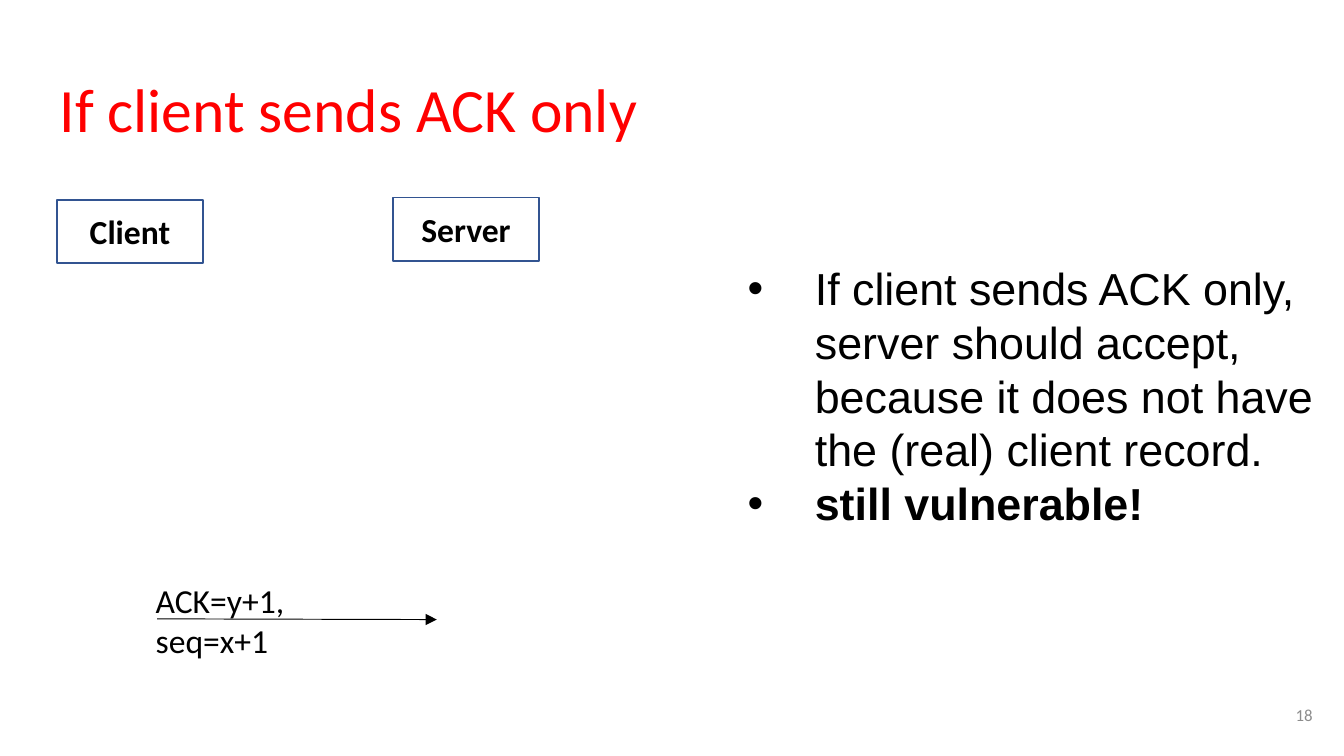
import pptx
import pptx.util
import pptx.dml.color
import pptx.enum.shapes
import pptx.enum.text
import pptx.oxml.ns
import lxml.etree

EMU_PER_PX = 4572  # 200 px to the inch
RED = pptx.dml.color.RGBColor(0xFF, 0x00, 0x00)
BLACK = pptx.dml.color.RGBColor(0x00, 0x00, 0x00)
WHITE = pptx.dml.color.RGBColor(0xFF, 0xFF, 0xFF)
GRAY = pptx.dml.color.RGBColor(0x8C, 0x8C, 0x8C)
BLUE = pptx.dml.color.RGBColor(0x32, 0x54, 0x91)
ALIGN = pptx.enum.text.PP_ALIGN
ANCHOR = pptx.enum.text.MSO_ANCHOR
qn = pptx.oxml.ns.qn


def px(*lengths):
    return [pptx.util.Emu(length * EMU_PER_PX) for length in lengths]


def write(paragraph, text, size, color, name="Calibri", bold=False, **layout):
    run = paragraph.add_run()
    run.text = text
    run.font.color.rgb = color
    for key, value in {"name": name, "size": pptx.util.Pt(size), "bold": bold}.items():
        setattr(run.font, key, value)
    for key, value in layout.items():
        setattr(paragraph, key, value)


presentation = pptx.Presentation()
presentation.slide_width, presentation.slide_height = px(2000, 1125)
slide = presentation.slides.add_slide(presentation.slide_layouts[6])

# Text boxes: title, page number, packet label, bullet list
frames = {}
for part, box, margin, anchor in [
    ("title", (69, 98, 1790, 126), 20, ANCHOR.TOP),
    ("number", (1853, 1021, 120, 86), 20, ANCHOR.MIDDLE),
    ("packet", (212, 853, 402, 68), 10, ANCHOR.TOP),
    ("bullets", (1093, 368, 892, 508), 20, ANCHOR.TOP),
]:
    frame = slide.shapes.add_textbox(*px(*box)).text_frame
    side, edge = px(20, margin)
    settings = {"word_wrap": True, "vertical_anchor": anchor,
                "margin_left": side, "margin_right": side,
                "margin_top": edge, "margin_bottom": edge}
    for key, value in settings.items():
        setattr(frame, key, value)
    frames[part] = frame

write(frames["title"].paragraphs[0], "If client sends ACK only", 33, RED, line_spacing=0.9)
write(frames["number"].paragraphs[0], "18", 9, GRAY, alignment=ALIGN.RIGHT)
write(frames["packet"].paragraphs[0], "ACK=y+1, seq=x+1", 18, BLACK)

# Bulleted conclusions
bullets = [
    ("If client sends ACK only, server should accept, because it does not have "
     "the (real) client record.", False),
    ("still vulnerable!", True),
]
for index, (text, bold) in enumerate(bullets):
    frame = frames["bullets"]
    paragraph = frame.add_paragraph() if index else frame.paragraphs[0]
    write(paragraph, text, 24, BLACK, "Arial", bold)
    properties = paragraph._p.get_or_add_pPr()
    indent = px(100)[0]
    properties.set("marL", str(indent))
    properties.set("indent", str(-indent))
    bullet_color = lxml.etree.SubElement(properties, qn("a:buClr"))
    lxml.etree.SubElement(bullet_color, qn("a:srgbClr"), val=str(BLACK))
    lxml.etree.SubElement(properties, qn("a:buFont"), typeface="Arial")
    lxml.etree.SubElement(properties, qn("a:buChar"), char="•")

# Client and server boxes
for label, left, top in [("Client", 85, 297), ("Server", 585, 294)]:
    shape = slide.shapes.add_shape(
        pptx.enum.shapes.MSO_SHAPE.RECTANGLE, *px(left, top, 217, 95))
    shape.shadow.inherit = False
    shape.fill.solid()
    shape.fill.fore_color.rgb = WHITE
    shape.line.color.rgb = BLUE
    shape.line.width = pptx.util.Pt(1)
    shape.text_frame.vertical_anchor = ANCHOR.MIDDLE
    write(shape.text_frame.paragraphs[0], label, 18, BLACK, bold=True,
          alignment=ALIGN.CENTER)

# ACK arrow from client to server
arrow = slide.shapes.add_connector(
    pptx.enum.shapes.MSO_CONNECTOR.STRAIGHT, *px(234, 921, 650, 922))
arrow.line.color.rgb = BLACK
arrow.line.width = pptx.util.Pt(0.5)
lxml.etree.SubElement(arrow.line._get_or_add_ln(), qn("a:tailEnd"), type="triangle")
lxml.etree.SubElement(arrow._element.spPr, qn("a:effectLst"))

presentation.save("out.pptx")
